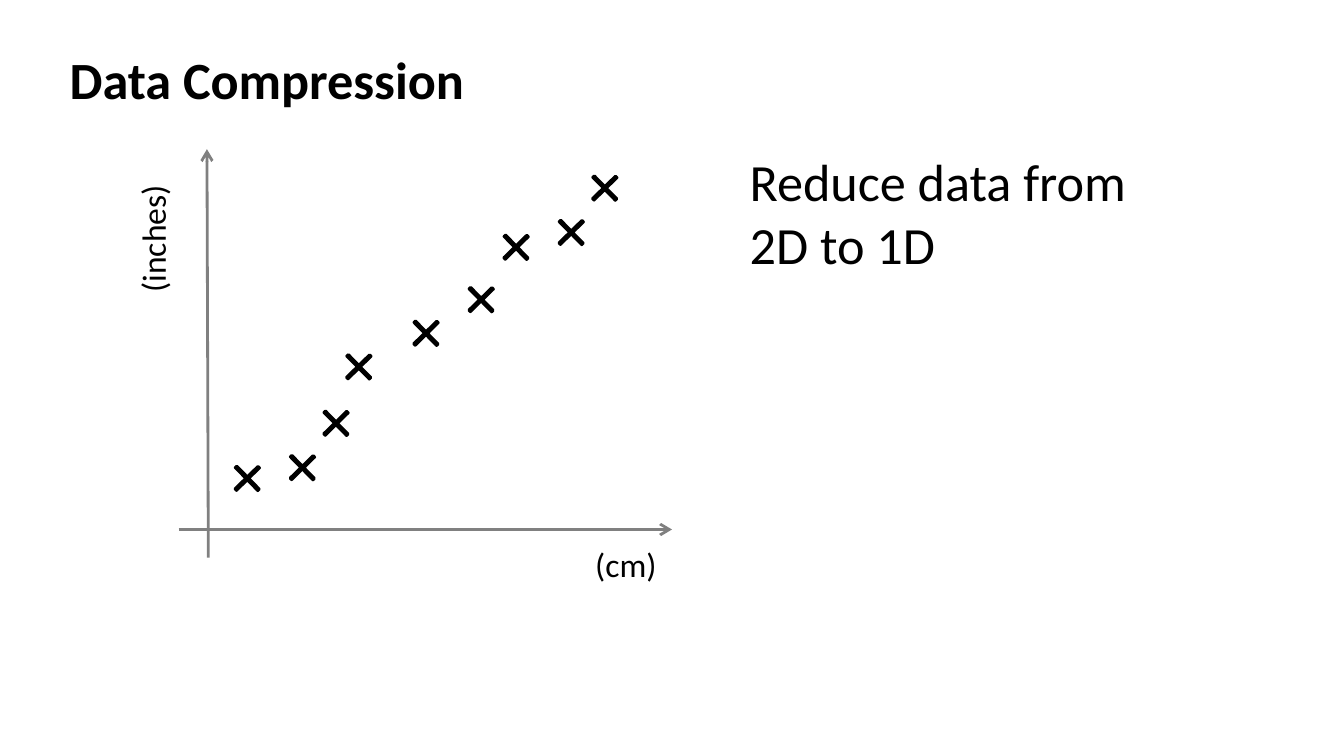
from dataclasses import dataclass

import lxml.etree
import pptx
import pptx.dml.color
import pptx.enum.shapes
import pptx.enum.text
import pptx.oxml.ns
import pptx.slide
import pptx.util


@dataclass(frozen=True)
class Theme:
    font: str = "Calibri"
    ink: str = "000000"
    axis: str = "808080"
    background: str = "FFFFFF"
    heading_size: float = 28
    label_size: float = 18
    line_width: float = 1.5


@dataclass(frozen=True)
class Axis:
    start: tuple[float, float]
    end: tuple[float, float]


@dataclass(frozen=True)
class Sample:
    left: float
    top: float


THEME = Theme()
SLIDE_WIDTH = 10
SLIDE_HEIGHT = SLIDE_WIDTH * 9 / 16
MARK_SIZE = 0.24
MARK_ROTATION = 45.6
MARK_THINNESS = 0.466

AXES = [
    Axis((1.55, 4.15), (1.54, 1.11)),
    Axis((1.33, 3.94), (5, 3.94)),
]

SAMPLES = [
    Sample(1.72, 3.44),
    Sample(2.13, 3.36),
    Sample(2.38, 3.03),
    Sample(2.55, 2.61),
    Sample(3.05, 2.36),
    Sample(3.46, 2.11),
    Sample(3.72, 1.72),
    Sample(4.13, 1.61),
    Sample(4.38, 1.28),
]


def rgb(value: str) -> pptx.dml.color.RGBColor:
    return pptx.dml.color.RGBColor.from_string(value)


def add_text(slide: pptx.slide.Slide, text: str, *, left: float, top: float,
             width: float, height: float, size: float,
             bold: bool = False, rotation: float = 0) -> None:
    box = slide.shapes.add_textbox(
        pptx.util.Inches(left), pptx.util.Inches(top),
        pptx.util.Inches(width), pptx.util.Inches(height))
    box.rotation = rotation
    frame = box.text_frame
    frame.word_wrap = True
    frame.auto_size = pptx.enum.text.MSO_AUTO_SIZE.SHAPE_TO_FIT_TEXT
    frame.text = text
    for paragraph in frame.paragraphs:
        for run in paragraph.runs:
            run.font.name = THEME.font
            run.font.size = pptx.util.Pt(size)
            run.font.bold = bold
            run.font.color.rgb = rgb(THEME.ink)


def add_axis(slide: pptx.slide.Slide, axis: Axis) -> None:
    arrow = slide.shapes.add_connector(
        pptx.enum.shapes.MSO_CONNECTOR.STRAIGHT,
        *(pptx.util.Inches(value) for value in axis.start + axis.end))
    arrow.line.color.rgb = rgb(THEME.axis)
    arrow.line.width = pptx.util.Pt(THEME.line_width)
    outline = arrow.line._get_or_add_ln()
    lxml.etree.SubElement(
        outline, pptx.oxml.ns.qn("a:tailEnd"), type="arrow")
    lxml.etree.SubElement(
        arrow._element.spPr, pptx.oxml.ns.qn("a:effectLst"))


def add_sample(slide: pptx.slide.Slide, sample: Sample) -> None:
    cross = slide.shapes.add_shape(
        pptx.enum.shapes.MSO_SHAPE.CROSS,
        pptx.util.Inches(sample.left), pptx.util.Inches(sample.top),
        pptx.util.Inches(MARK_SIZE), pptx.util.Inches(MARK_SIZE))
    cross.adjustments[0] = MARK_THINNESS
    cross.rotation = MARK_ROTATION
    cross.shadow.inherit = False
    cross.fill.solid()
    cross.fill.fore_color.rgb = rgb(THEME.ink)
    cross.line.color.rgb = rgb(THEME.ink)
    cross.line.width = pptx.util.Pt(THEME.line_width)


def main() -> None:
    presentation = pptx.Presentation()
    presentation.slide_width = pptx.util.Inches(SLIDE_WIDTH)
    presentation.slide_height = pptx.util.Inches(SLIDE_HEIGHT)
    slide = presentation.slides.add_slide(presentation.slide_layouts[6])
    slide.background.fill.solid()
    slide.background.fill.fore_color.rgb = rgb(THEME.background)

    add_text(slide, "Data Compression", left=0.42, top=0.3, width=9.08,
             height=0.57, size=THEME.heading_size, bold=True)
    for axis in AXES:
        add_axis(slide, axis)
    for sample in SAMPLES:
        add_sample(slide, sample)
    add_text(slide, "(inches)", left=0.56, top=1.5, width=1.15,
             height=0.4, size=THEME.label_size, rotation=270)
    add_text(slide, "(cm)", left=4.33, top=4, width=1.15,
             height=0.4, size=THEME.label_size)
    add_text(slide, "Reduce data from\n2D to 1D", left=5.48, top=1.06,
             width=4.1, height=1.04, size=THEME.heading_size)

    presentation.save("out.pptx")


if __name__ == "__main__":
    main()
